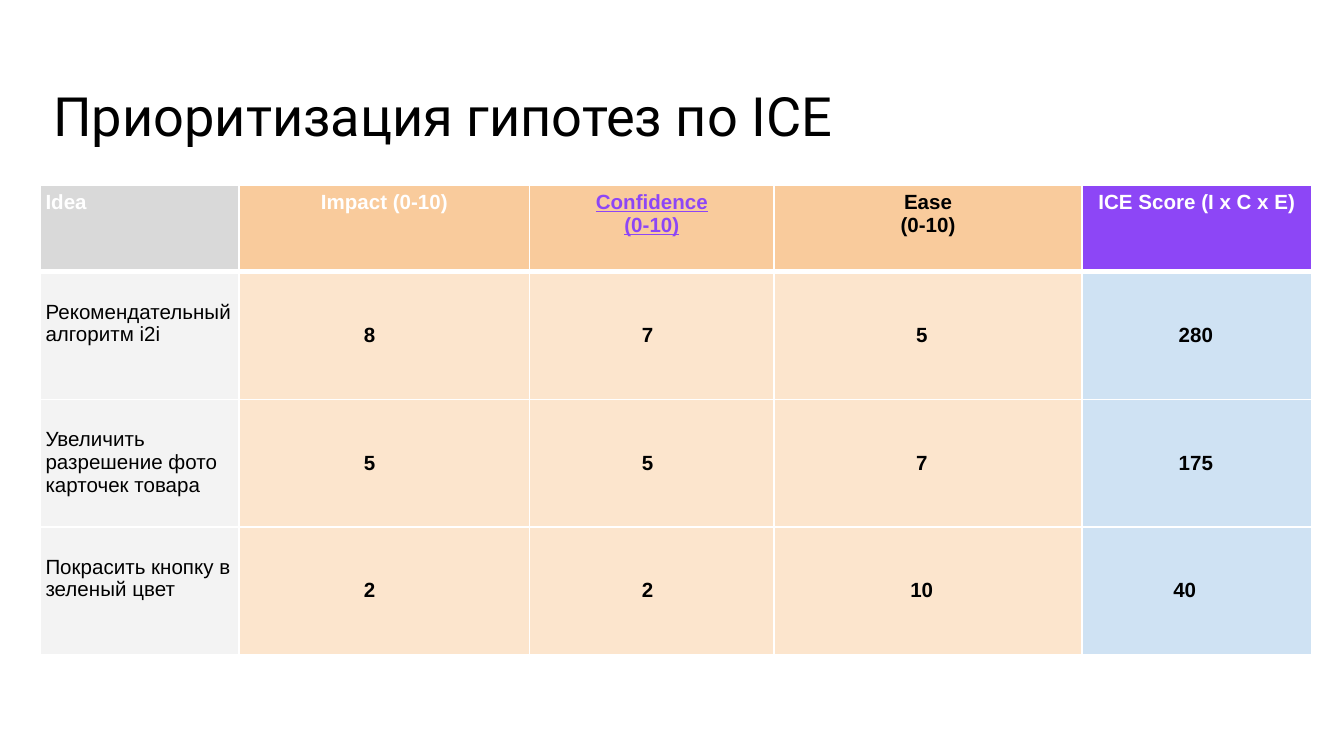
from dataclasses import dataclass

from lxml.etree import SubElement
from pptx import Presentation
from pptx.dml.color import RGBColor
from pptx.enum.text import MSO_ANCHOR, PP_ALIGN
from pptx.oxml.ns import qn
from pptx.util import Cm, Pt


@dataclass(frozen=True)
class Theme:
    black: str = "000000"
    white: str = "FFFFFF"
    violet: str = "8D46F6"
    idea_head: str = "D9D9D9"
    idea_body: str = "F3F3F3"
    factor_head: str = "F9CB9C"
    factor_body: str = "FCE5CD"
    score_body: str = "CFE2F3"
    title_font: str = "Roboto"
    table_font: str = "Arial"
    title_size: int = 29
    table_size: int = 11
    inset: float = 0.1
    thin: int = 1
    thick: int = 3


T = Theme()

# Column: width in cm, heading, heading colour, head fill, body fill
COLUMNS = [
    (3.76, "Idea", T.white, T.idea_head, T.idea_body),
    (5.49, "Impact (0-10)", T.white, T.factor_head, T.factor_body),
    (4.62, "Confidence\v(0-10)", T.violet, T.factor_head, T.factor_body),
    (5.82, "Ease\n(0-10)", T.black, T.factor_head, T.factor_body),
    (4.34, "ICE Score (I х С х E)", T.white, T.violet, T.score_body),
]
HEAD_HEIGHT, ROW_HEIGHT = 1.63, 2.41

# Idea, then (value, shift left of the column centre in cm)
IDEAS = [
    ("Рекомендательный алгоритм i2i",
     ("8", 0.28), ("7", 0.08), ("5", 0.12), ("280", 0.02)),
    ("Увеличить разрешение фото карточек товара",
     ("5", 0.28), ("5", 0.08), ("7", 0.12), ("175", 0.02)),
    ("Покрасить кнопку в зеленый цвет",
     ("2", 0.28), ("2", 0.08), ("10", 0.12), ("40", 0.23)),
]


def set_insets(box, left=T.inset, top=T.inset, right=T.inset, bottom=T.inset):
    box.margin_left, box.margin_top = Cm(left), Cm(top)
    box.margin_right, box.margin_bottom = Cm(right), Cm(bottom)


def set_font(p, name, size, color, bold=False, underline=False):
    p.font.name, p.font.size = name, Pt(size)
    p.font.color.rgb = RGBColor.from_string(color)
    p.font.bold, p.font.underline = bold, underline


def set_borders(cell, top, bottom):
    tc_pr = cell._tc.get_or_add_tcPr()
    widths = {"lnL": T.thin, "lnR": T.thin, "lnT": top, "lnB": bottom}
    for tag, width in widths.items():
        ln = SubElement(tc_pr, qn(f"a:{tag}"), w=str(Pt(width)))
        fill = SubElement(ln, qn("a:solidFill"))
        SubElement(fill, qn("a:srgbClr"), val=T.white)


def fill_cell(cell, text, fill, color, align, bold=False, underline=False,
              top=T.thin, bottom=T.thin):
    # Borders come before the fill in the cell properties
    set_borders(cell, top, bottom)
    cell.fill.solid()
    cell.fill.fore_color.rgb = RGBColor.from_string(fill)
    set_insets(cell)
    cell.text_frame.text = text
    for p in cell.text_frame.paragraphs:
        p.alignment = align
        set_font(p, T.table_font, T.table_size, color, bold, underline)


def add_title(s, left, top, width, height):
    tf = s.shapes.add_textbox(Cm(left), Cm(top), Cm(width), Cm(height)).text_frame
    tf.word_wrap = True
    tf.vertical_anchor = MSO_ANCHOR.BOTTOM
    set_insets(tf)
    p = tf.paragraphs[0]
    p.text = "Приоритизация гипотез по ICE"
    p.line_spacing = 0.9
    set_font(p, T.title_font, T.title_size, T.black)


def add_ice_table(s, left, top, width, height):
    table = s.shapes.add_table(len(IDEAS) + 1, len(COLUMNS), Cm(left), Cm(top),
                               Cm(width), Cm(height)).table
    table.first_row = table.horz_banding = False
    for i, row in enumerate(table.rows):
        row.height = Cm(ROW_HEIGHT if i else HEAD_HEIGHT)

    # Header row
    for j, (col_width, heading, color, head_fill, _) in enumerate(COLUMNS):
        table.columns[j].width = Cm(col_width)
        fill_cell(table.cell(0, j), heading, head_fill, color,
                  PP_ALIGN.CENTER if j else PP_ALIGN.LEFT, bold=True,
                  underline=color == T.violet, bottom=T.thick)

    # Ideas with their scores
    for i, (idea, *scores) in enumerate(IDEAS, 1):
        upper = T.thick if i == 1 else T.thin
        cell = table.cell(i, 0)
        fill_cell(cell, idea, COLUMNS[0][-1], T.black, PP_ALIGN.LEFT, top=upper)
        set_insets(cell, top=0.54)
        for j, (value, shift) in enumerate(scores, 1):
            cell = table.cell(i, j)
            fill_cell(cell, value, COLUMNS[j][-1], T.black, PP_ALIGN.CENTER,
                      bold=True, top=upper)
            set_insets(cell, right=T.inset + 2 * shift)
            cell.vertical_anchor = MSO_ANCHOR.MIDDLE


def main():
    prs = Presentation()
    prs.slide_width, prs.slide_height = Cm(25.4), Cm(14.29)
    s = prs.slides.add_slide(prs.slide_layouts[6])
    add_title(s, 0.91, 1.27, 22.53, 1.63)
    add_ice_table(s, 0.76, 3.51, sum(c[0] for c in COLUMNS),
                  HEAD_HEIGHT + ROW_HEIGHT * len(IDEAS))
    prs.save("out.pptx")


if __name__ == "__main__":
    main()
